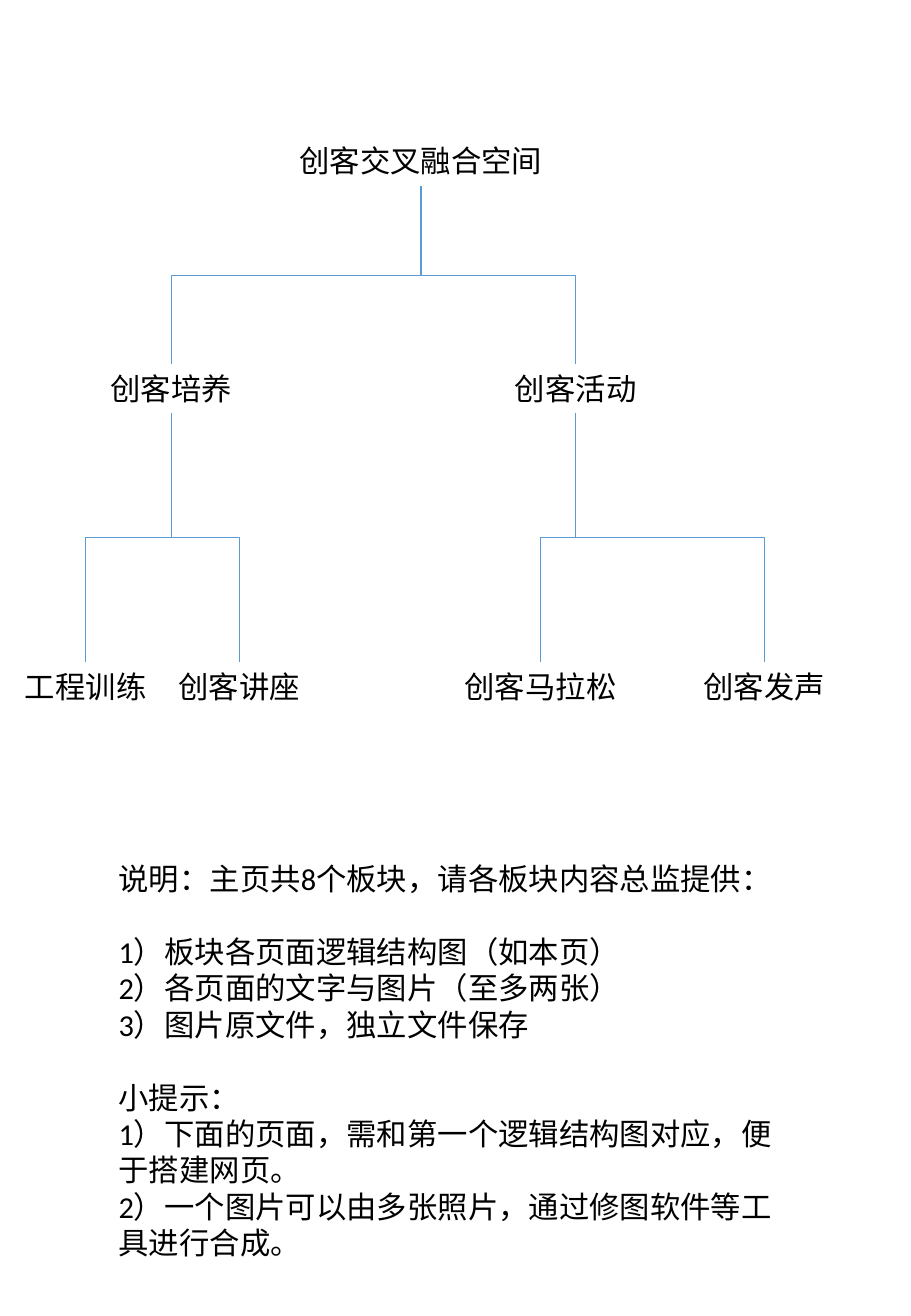
import pptx
import pptx.util
import pptx.dml.color
import pptx.enum.shapes
import pptx.enum.text
import pptx.oxml.ns
import lxml.etree
from dataclasses import dataclass

Pt = pptx.util.Pt
TOP, BOTTOM = 0, 2


@dataclass(frozen=True)
class Theme:
    font: str = "Calibri"
    size: float = 18
    text: str = "000000"
    line: str = "5B9BD5"
    line_width: float = 0.5
    blank_line: float = 21.6


class SiteMap:
    def __init__(self, slide, theme):
        self.slide = slide
        self.theme = theme

    def text_box(self, left, top, width, height):
        sp = self.slide.shapes.add_textbox(Pt(left), Pt(top), Pt(width), Pt(height))
        sp.text_frame.word_wrap = True
        sp.text_frame.auto_size = pptx.enum.text.MSO_AUTO_SIZE.SHAPE_TO_FIT_TEXT
        return sp

    def run(self, p, text):
        r = p.add_run()
        r.text = text
        r.font.name = self.theme.font
        r.font.size = Pt(self.theme.size)
        r.font.color.rgb = pptx.dml.color.RGBColor.from_string(self.theme.text)

    def node(self, text, left, top, width):
        sp = self.text_box(left, top, width, 29.08)
        p = sp.text_frame.paragraphs[0]
        p.alignment = pptx.enum.text.PP_ALIGN.CENTER
        self.run(p, text)
        return sp

    def notes(self, groups, left, top, width, height):
        """Write groups of paragraphs, set one line apart."""
        tf = self.text_box(left, top, width, height).text_frame
        p = tf.paragraphs[0]
        for g, group in enumerate(groups):
            for i, text in enumerate(group):
                if g or i:
                    p = tf.add_paragraph()
                if g and i == 0:
                    p.space_before = Pt(self.theme.blank_line)
                self.run(p, text)

    def branch(self, parent, child):
        """Join parent to child with an elbow that leaves downwards."""
        x1, y1 = parent.left + parent.width // 2, parent.top + parent.height
        x2, y2 = child.left + child.width // 2, child.top
        line = self.slide.shapes.add_connector(
            pptx.enum.shapes.MSO_CONNECTOR.ELBOW, x1, y1, x2, y2)
        line.begin_connect(parent, BOTTOM)
        line.end_connect(child, TOP)

        # A quarter turn swaps the frame's width and height about its centre.
        drop, reach = y2 - y1, abs(x2 - x1)
        line.left, line.top = (x1 + x2 - drop) // 2, (y1 + y2 - reach) // 2
        line.width, line.height = drop, reach
        to_right = x2 > x1
        xfrm = line._element.spPr.find(pptx.oxml.ns.qn("a:xfrm"))
        xfrm.set("rot", str((270 if to_right else 90) * 60000))
        xfrm.set("flipH", "1" if to_right else "0")
        xfrm.set("flipV", "0")

        line.line.color.rgb = pptx.dml.color.RGBColor.from_string(self.theme.line)
        line.line.width = Pt(self.theme.line_width)
        lxml.etree.SubElement(line._element.spPr, pptx.oxml.ns.qn("a:effectLst"))


ROOT = ("创客交叉融合空间", 149.8, 199.4)
SECTIONS = [
    (("创客培养", 42.5, 118),
     [("工程训练", 0, 101.5), ("创客讲座", 95, 93.6)]),
    (("创客活动", 288, 106.5),
     [("创客马拉松", 265.7, 109.4), ("创客发声", 398.2, 109.4)]),
]
ROOT_TOP, SECTION_TOP, PAGE_TOP = 81, 216, 392.4

NOTES = [
    ["说明：主页共8个板块，请各板块内容总监提供："],
    ["1）板块各页面逻辑结构图（如本页）",
     "2）各页面的文字与图片（至多两张）",
     "3）图片原文件，独立文件保存"],
    ["小提示：",
     "1）下面的页面，需和第一个逻辑结构图对应，便于搭建网页。",
     "2）一个图片可以由多张照片，通过修图软件等工具进行合成。"],
]


def main():
    prs = pptx.Presentation()
    prs.slide_width, prs.slide_height = Pt(540), Pt(780)
    site = SiteMap(prs.slides.add_slide(prs.slide_layouts[6]), Theme())

    def add_node(spec, top):
        text, left, width = spec
        return site.node(text, left, top, width)

    root = add_node(ROOT, ROOT_TOP)
    for section_spec, pages in SECTIONS:
        section = add_node(section_spec, SECTION_TOP)
        site.branch(root, section)
        for page in pages:
            site.branch(section, add_node(page, PAGE_TOP))
    site.notes(NOTES, 63.2, 506.2, 404.6, 225.4)

    prs.save("out.pptx")


if __name__ == "__main__":
    main()
